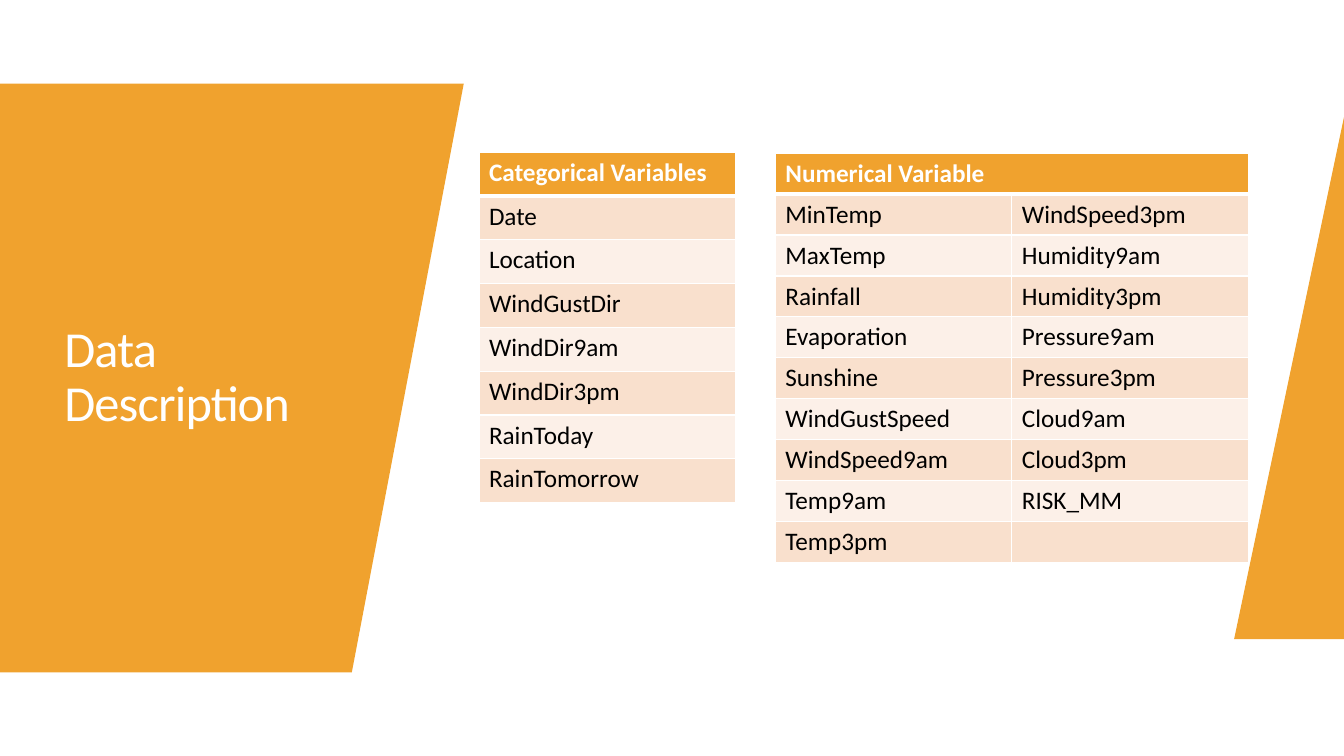
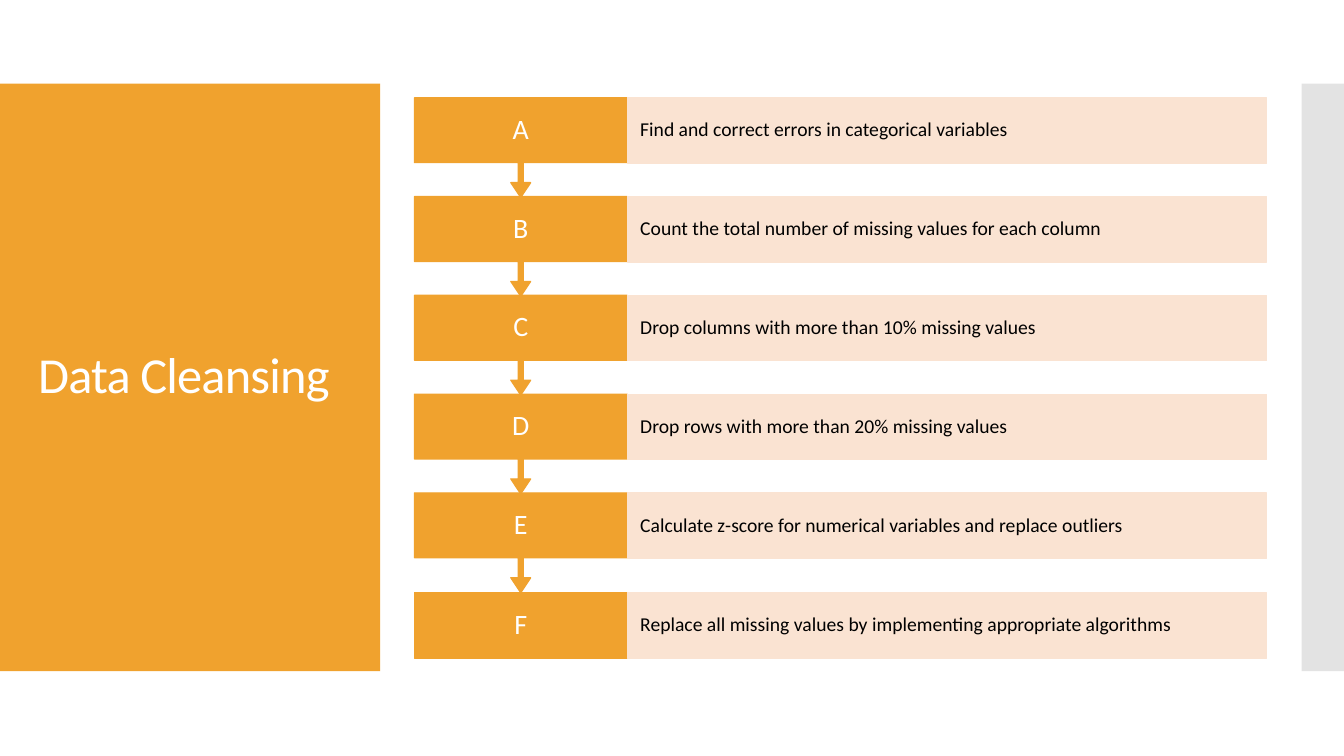
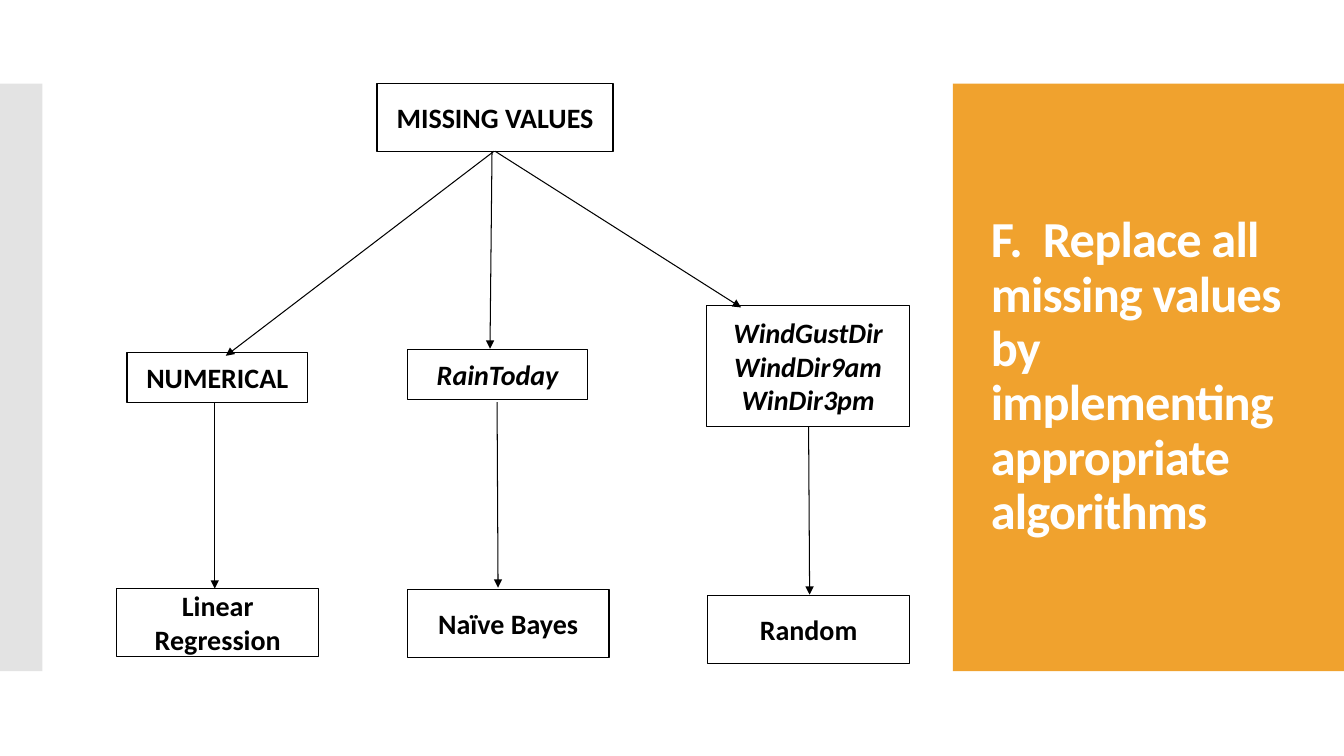
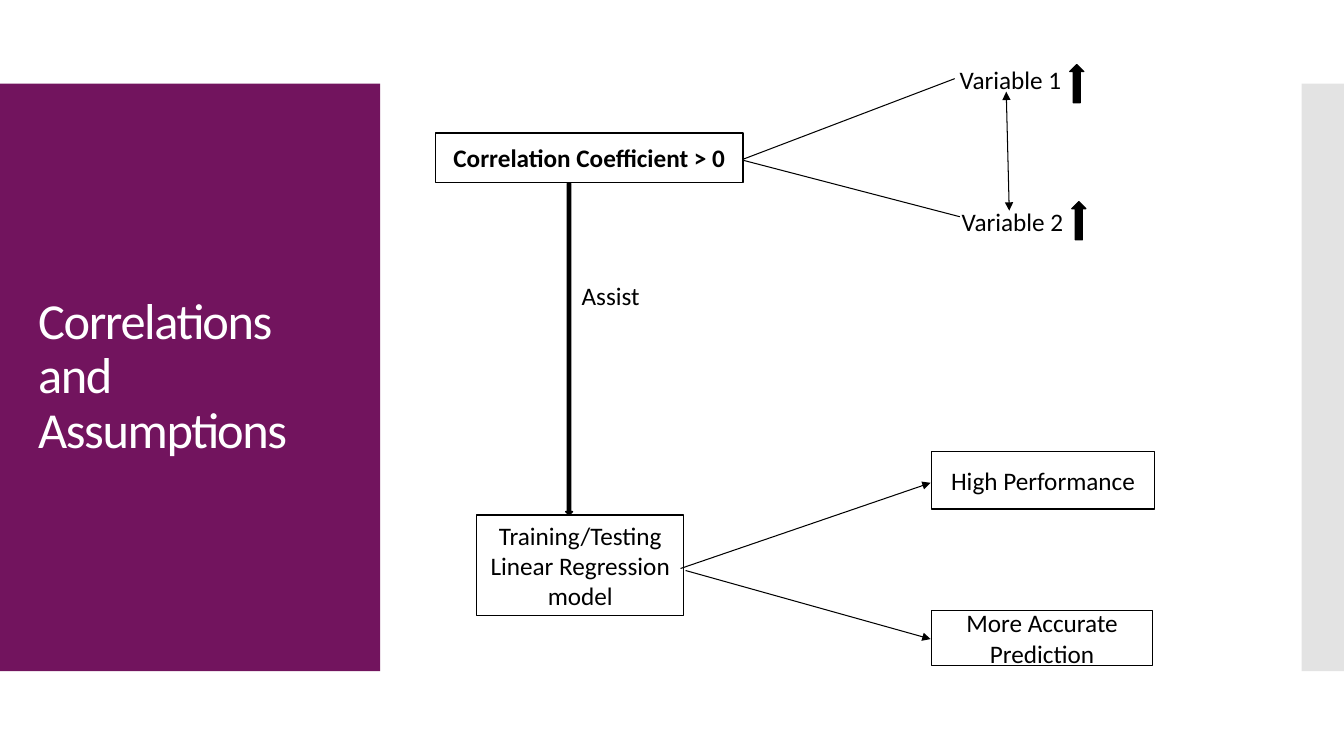
from pptx import Presentation
from pptx.dml.color import RGBColor
from pptx.enum.shapes import MSO_CONNECTOR, MSO_SHAPE
from pptx.enum.text import MSO_ANCHOR, PP_ALIGN
from pptx.oxml.ns import qn
from pptx.util import Emu, Pt
from lxml.etree import SubElement

PX = 9144  # 100 px to the inch
ORANGE = RGBColor(0xF0, 0xA2, 0x2E)
PURPLE = RGBColor(0x72, 0x14, 0x5E)
GREY = RGBColor(0xE3, 0xE3, 0xE3)
PEACH = RGBColor(0xF9, 0xE0, 0xCD)
CREAM = RGBColor(0xFC, 0xF0, 0xE8)
PALE = RGBColor(0xFA, 0xE3, 0xD2)
WHITE = RGBColor(0xFF, 0xFF, 0xFF)
BLACK = RGBColor(0, 0, 0)

BAND_TOP, BAND_HIGH = 83, 583
STRIP = 42
WIDE = 1333
TITLE = {"size": Pt(36)}
BODY = {"size": Pt(18)}
NODE = {"size": Pt(20), "bold": True}
VALUE = {**NODE, "italic": True}


def px(*sizes):
    return [Emu(size * PX) for size in sizes]


def write(frame, text, fmt, color=BLACK, align=PP_ALIGN.LEFT, gap=None):
    """Fill a text frame; each line of text becomes a paragraph."""
    frame.text = text
    for para in frame.paragraphs:
        para.alignment = align
        para.line_spacing = gap
        for run in para.runs:
            for key, value in {"name": "Calibri", **fmt}.items():
                setattr(run.font, key, value)
            run.font.color.rgb = color


def paint(shape, fill, edge=None):
    shape.shadow.inherit = False
    shape.fill.solid()
    shape.fill.fore_color.rgb = fill
    if edge is None:
        shape.line.fill.background()
    else:
        shape.line.color.rgb = edge
        shape.line.width = Pt(0.85)


def block(slide, at, fill, edge=None, kind=MSO_SHAPE.RECTANGLE):
    shape = slide.shapes.add_shape(kind, *px(*at))
    paint(shape, fill, edge)
    return shape


def node(slide, at, text, fmt):
    """Add a white box with a thin black edge and centred text."""
    frame = block(slide, at, WHITE, BLACK).text_frame
    frame.word_wrap = True
    frame.vertical_anchor = MSO_ANCHOR.MIDDLE
    write(frame, text, fmt, align=PP_ALIGN.CENTER)


def label(slide, at, text, fmt=BODY, **look):
    frame = slide.shapes.add_textbox(*px(*at)).text_frame
    frame.word_wrap = True
    write(frame, text, fmt, **look)
    return frame


def title(slide, at, text, fmt=TITLE, track=-60):
    """Add the slide title; track is in hundredths of a point."""
    frame = label(slide, at, text, fmt, color=WHITE, gap=0.9)
    frame.vertical_anchor = MSO_ANCHOR.MIDDLE
    for run in frame.paragraphs[0].runs:
        run._r.get_or_add_rPr().set("spc", str(track))


def bands(slide, color, left=0, width=377, strip=WIDE - STRIP):
    """Draw the coloured title panel and the grey strip on the far side."""
    block(slide, (left, BAND_TOP, width, BAND_HIGH), color)
    block(slide, (strip, BAND_TOP, STRIP, BAND_HIGH), GREY)


def slab(slide, points):
    pen = slide.shapes.build_freeform(*points[0], scale=float(PX))
    pen.add_line_segments(points[1:])
    paint(pen.convert_to_shape(), ORANGE)


def link(slide, ends, *tips):
    """Draw a line; tips names its arrowheads, headEnd or tailEnd."""
    line = slide.shapes.add_connector(MSO_CONNECTOR.STRAIGHT, *px(*ends))
    line.line.color.rgb = BLACK
    line.line.width = Pt(0.75)
    props = line._element.spPr
    for tip in tips:
        SubElement(props.find(qn("a:ln")), qn(f"a:{tip}"), type="triangle")
    SubElement(props, qn("a:effectLst"))


def border(cell, row):
    """Draw white borders, thick between the header and the body."""
    widths = {"L": 1, "R": 1, "T": 3 if row == 1 else 1, "B": 1 if row else 3}
    props = cell._tc.get_or_add_tcPr()
    for side, width in widths.items():
        line = SubElement(props, qn(f"a:ln{side}"), w=str(Pt(width)))
        fill = SubElement(line, qn("a:solidFill"))
        SubElement(fill, qn("a:srgbClr"), val=str(WHITE))


def grid(slide, at, head, rows):
    rows = [[head] + [""] * (len(rows[0]) - 1)] + rows
    count, cols = len(rows), len(rows[0])
    table = slide.shapes.add_table(count, cols, *px(*at)).table
    for r, texts in enumerate(rows):
        for c, text in enumerate(texts):
            cell = table.cell(r, c)
            border(cell, r)
            cell.fill.solid()
            cell.fill.fore_color.rgb = (PEACH if r % 2 else CREAM) if r else ORANGE
            fmt = {**BODY, "bold": r == 0}
            write(cell.text_frame, text, fmt, BLACK if r else WHITE)
    if cols > 1:
        table.cell(0, 0).merge(table.cell(0, cols - 1))


def step(slide, top, mark, text, last):
    """Add one row of the process: a lettered box and what it does."""
    kind = MSO_SHAPE.RECTANGLE if last else MSO_SHAPE.DOWN_ARROW_CALLOUT
    box = block(slide, (411, top, 211, 65 if last else 99), ORANGE, ORANGE, kind)
    if not last:
        for i, value in enumerate((0.05, 0.1, 0.15, 0.65)):
            box.adjustments[i] = value
    bar = block(slide, (622, top, 634, 65), PALE, PALE)
    for shape, words, size, color, align in (
        (box, mark, 20, WHITE, PP_ALIGN.CENTER),
        (bar, text, 14, BLACK, PP_ALIGN.LEFT),
    ):
        frame = shape.text_frame
        frame.word_wrap = True
        frame.vertical_anchor = MSO_ANCHOR.MIDDLE
        frame.margin_left = frame.margin_right = Emu(13 * PX)
        write(frame, words, {"size": Pt(size)}, color, align, 0.9)


def describe(slide):
    slab(slide, [(0, 83), (460, 83), (349, 667), (0, 667)])
    title(slide, (54, 184, 303, 382), "Data Description")
    slab(slide, [(1333, 116), (1333, 634), (1224, 634)])
    names = ["Date", "Location", "WindGustDir", "WindDir9am", "WindDir3pm",
             "RainToday", "RainTomorrow"]
    grid(slide, (475, 151, 255, 348), "Categorical Variables", [[n] for n in names])
    grid(slide, (769, 152, 469, 406), "Numerical Variable", [
        ["MinTemp", "WindSpeed3pm"],
        ["MaxTemp", "Humidity9am"],
        ["Rainfall", "Humidity3pm"],
        ["Evaporation", "Pressure9am"],
        ["Sunshine", "Pressure3pm"],
        ["WindGustSpeed", "Cloud9am"],
        ["WindSpeed9am", "Cloud3pm"],
        ["Temp9am", "RISK_MM"],
        ["Temp3pm", ""],
    ])


def cleanse(slide):
    bands(slide, ORANGE)
    title(slide, (28, 123, 322, 503), "Data Cleansing")
    steps = [
        "Find and correct errors in categorical variables",
        "Count the total number of missing values for each column",
        "Drop columns with more than 10% missing values",
        "Drop rows with more than 20% missing values",
        "Calculate z-score for numerical variables and replace outliers",
        "Replace all missing values by implementing appropriate algorithms",
    ]
    final = len(steps) - 1
    for i in range(final, -1, -1):
        step(slide, 97 + 491 * i // final, "ABCDEF"[i], steps[i], i == final)


def replace(slide):
    bands(slide, ORANGE, left=945, width=388, strip=0)
    title(slide, (973, 123, 322, 503),
          "F.  Replace all missing values by implementing appropriate algorithms",
          {**TITLE, "bold": True})
    for at, text, fmt in (
        ((374, 83, 234, 67), "MISSING VALUES", NODE),
        ((126, 350, 179, 49), "NUMERICAL", NODE),
        ((404, 347, 179, 49), "RainToday", VALUE),
        ((701, 303, 201, 120), "WindGustDir\nWindDir9am\nWinDir3pm", VALUE),
        ((116, 584, 200, 67), "Linear Regression", NODE),
        ((404, 585, 200, 67), "Naïve Bayes", NODE),
        ((702, 591, 200, 67), "Random", NODE),
    ):
        node(slide, at, text, fmt)
    for ends in (
        (490, 150, 224, 353), (488, 150, 486, 346), (491, 150, 735, 305),
        (213, 399, 213, 584), (493, 399, 494, 583), (802, 423, 803, 590),
    ):
        link(slide, ends, "tailEnd")


def relate(slide):
    bands(slide, PURPLE)
    title(slide, (28, 123, 322, 503), "Correlations and Assumptions", track=-100)
    for at, text, fmt in (
        ((432, 132, 305, 49), "Correlation Coefficient > 0", {**BODY, "bold": True}),
        ((473, 511, 205, 100), "Training/Testing Linear Regression model", BODY),
        ((924, 448, 221, 57), "High Performance", BODY),
        ((924, 606, 219, 54), "More Accurate Prediction", BODY),
    ):
        node(slide, at, text, fmt)
    for at, text in (
        ((942, 59, 126, 40), "Variable 1"),
        ((944, 200, 126, 40), "Variable 2"),
        ((567, 273, 91, 40), "Assist"),
    ):
        label(slide, at, text)
    for at, kind in (
        ((1061, 64, 14, 38), MSO_SHAPE.UP_ARROW),
        ((1063, 200, 14, 38), MSO_SHAPE.UP_ARROW),
        ((561, 182, 7, 329), MSO_SHAPE.DOWN_ARROW),
    ):
        block(slide, at, BLACK, BLACK, kind)
    for ends, *tips in (
        ((737, 158, 947, 78),),
        ((737, 159, 952, 215),),
        ((998, 91, 1001, 209), "headEnd", "tailEnd"),
        ((675, 564, 923, 479), "tailEnd"),
        ((680, 566, 923, 634), "tailEnd"),
    ):
        link(slide, ends, *tips)


def main():
    deck = Presentation()
    deck.slide_width, deck.slide_height = px(WIDE, 750)
    for build in (describe, cleanse, replace, relate):
        build(deck.slides.add_slide(deck.slide_layouts[6]))
    deck.save("out.pptx")


if __name__ == "__main__":
    main()
